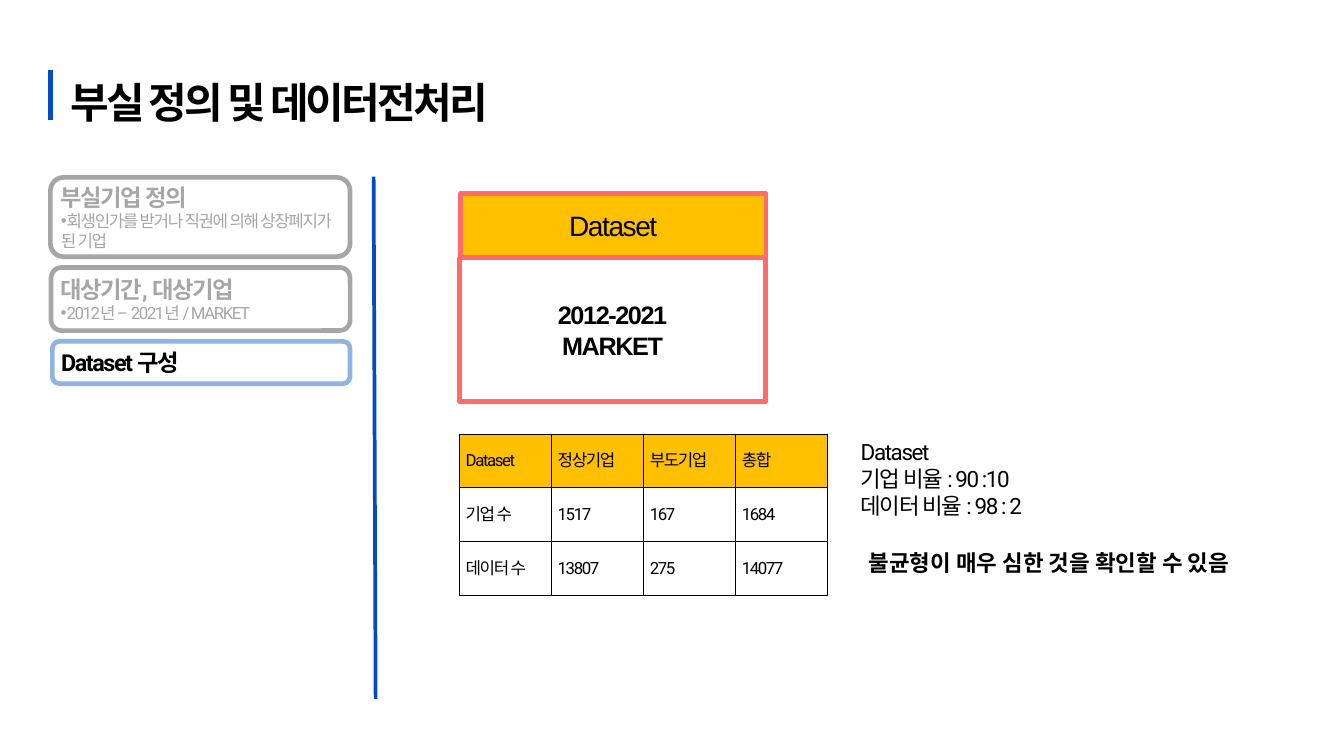
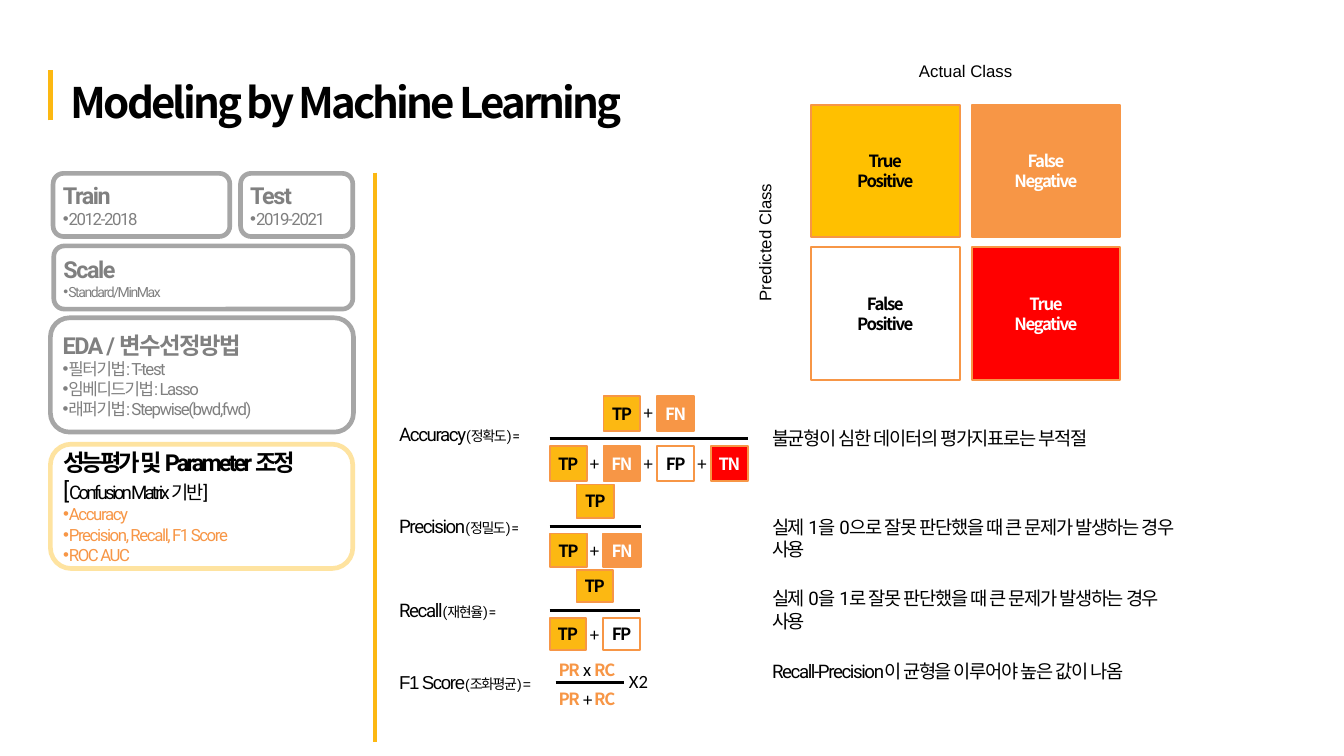
from lxml.etree import SubElement
from pptx import Presentation
from pptx.dml.color import RGBColor
from pptx.enum.shapes import MSO_CONNECTOR, MSO_SHAPE
from pptx.enum.text import MSO_ANCHOR, PP_ALIGN
from pptx.oxml.ns import qn
from pptx.util import Inches, Pt

COLORS = {
    "black": "000000", "white": "FFFFFF", "blue": "024BC7", "amber": "FCB812",
    "gold": "FFC000", "coral": "FF6B6B", "sky": "8EB4E3", "cream": "FEE3A0",
    "gray": "A6A6A6", "dark_gray": "808080", "orange": "F79646", "red": "FF0000",
}
NOTO = "Noto Sans CJK KR"


def style(size, font="Roboto", color="black", bold=False, spacing=-1.5):
    return {"size": size, "name": font, "color": color, "bold": bold, "spacing": spacing}


TITLE = style(45, NOTO, bold=True, spacing=-3)
BODY = style(20)
SMALL = style(15)
CELL = style(18)
NOTE = style(24)
AXIS = style(18, "Arial", spacing=0)
SIGN = style(20, "Calibri", spacing=0)
TERM = style(18, NOTO, "orange", True)

DATASET_CARDS = [
    ((0.75, 2.64, 4.46, 1.18), "gray", "부실기업 정의",
     ["회생인가를 받거나 직권에 의해 상장폐지가 된 기업"], "gray", 18),
    ((0.76, 3.98, 4.45, 0.94), "gray", "대상기간, 대상기업",
     ["2012년 – 2021년 / MARKET"], "gray", 18),
    ((0.78, 5.08, 4.43, 0.63), "sky", "Dataset 구성", [], "black", 18),
]
DATASET_ROWS = [
    ("Dataset", "정상기업", "부도기업", "총합"),
    ("기업 수", "1517", "167", "1684"),
    ("데이터 수", "13807", "275", "14077"),
]
RATIOS = ["Dataset", "기업 비율 : 90 :10", "데이터 비율 : 98 : 2"]

MODEL_CARDS = [
    ((0.79, 2.58, 2.63, 0.94), "gray", "Train", ["2012-2018"], "dark_gray", 18),
    ((3.58, 2.58, 1.67, 0.94), "gray", "Test", ["2019-2021"], "dark_gray", 18),
    ((0.8, 3.66, 4.45, 0.94), "gray", "Scale", ["Standard/MinMax"], "dark_gray", 15),
    ((0.75, 4.73, 4.51, 1.7), "gray", "EDA / 변수선정방법",
     ["필터기법: T-test", "임베디드기법: Lasso", "래퍼기법: Stepwise(bwd,fwd)"],
     "dark_gray", 18),
]
EVALUATION = ["Accuracy", "Precision, Recall, F1 Score", "ROC AUC"]
MATRIX = [
    [("True", "Positive", "gold", "black"), ("False", "Negative", "orange", "white")],
    [("False", "Positive", "white", "black"), ("True", "Negative", "red", "white")],
]
TILES = {"TP": ("amber", "black"), "FN": ("orange", "white"),
         "FP": ("white", "black"), "TN": ("red", "white")}
FRACTIONS = [
    (6.53, 0.55, 0.52, ["TP", "FN"], ["TP", "FN", "FP", "TN"]),
    (7.83, 0.56, 0.5, ["TP"], ["TP", "FN"]),
    (9.08, 0.54, 0.48, ["TP"], ["TP", "FP"]),
]
METRICS = [
    ("Accuracy", "(정확도) =", "Roboto", 6.25),
    ("Precision", "(정밀도) =", "Roboto", 7.61),
    ("Recall", "(재현율) =", "Roboto", 8.86),
    ("F1 Score", "(조화평균) =", "Arial", 9.94),
]
REMARKS = [
    (6.31, 0.44, "불균형이 심한 데이터의 평가지표로는 부적절"),
    (7.62, 0.77, "실제 1을 0으로 잘못 판단했을 때 큰 문제가 발생하는 경우 사용"),
    (8.69, 0.77, "실제 0을 1로 잘못 판단했을 때 큰 문제가 발생하는 경우 사용"),
    (9.77, 0.44, "Recall-Precision이 균형을 이루어야 높은 값이 나옴"),
]


def rgb(name):
    return RGBColor.from_string(COLORS[name])


def write(tf, paragraphs, align=PP_ALIGN.LEFT, bullets_from=None):
    tf.word_wrap = True
    for i, runs in enumerate(paragraphs):
        p = tf.paragraphs[0] if i == 0 else tf.add_paragraph()
        p.alignment = align
        if bullets_from is not None and i >= bullets_from:
            pPr = p._p.get_or_add_pPr()
            SubElement(pPr, qn("a:buFont"), typeface="Arial")
            SubElement(pPr, qn("a:buChar"), char="•")
        for text, look in runs:
            r = p.add_run()
            r.text = text
            for key in ("size", "name", "bold"):
                setattr(r.font, key, Pt(look[key]) if key == "size" else look[key])
            r.font.color.rgb = rgb(look["color"])
            rPr = r._r.get_or_add_rPr()
            rPr.set("spc", str(int(look["spacing"] * 100)))
            SubElement(rPr, qn("a:ea"), typeface=look["name"])


def lines(texts, look):
    return [[(text, look)] for text in texts]


def add_text(s, box, paragraphs, align=PP_ALIGN.LEFT, anchor=MSO_ANCHOR.TOP):
    sp = s.shapes.add_textbox(*map(Inches, box))
    sp.text_frame.vertical_anchor = anchor
    write(sp.text_frame, paragraphs, align)
    return sp


def add_box(s, box, fill, line, width, paragraphs, kind=MSO_SHAPE.RECTANGLE,
            align=PP_ALIGN.CENTER, bullets_from=None):
    sp = s.shapes.add_shape(kind, *map(Inches, box))
    sp.shadow.inherit = False
    sp.fill.solid()
    sp.fill.fore_color.rgb = rgb(fill)
    sp.line.color.rgb = rgb(line)
    sp.line.width = Pt(width)
    sp.text_frame.vertical_anchor = MSO_ANCHOR.MIDDLE
    write(sp.text_frame, paragraphs, align, bullets_from)


def add_line(s, ends, color, width):
    sp = s.shapes.add_connector(MSO_CONNECTOR.STRAIGHT, *map(Inches, ends))
    sp.line.color.rgb = rgb(color)
    sp.line.width = Pt(width)
    SubElement(sp._element.spPr, qn("a:effectLst"))


def add_card(s, box, line, paragraphs, bullets_from=1):
    add_box(s, box, "white", line, 5, paragraphs, MSO_SHAPE.ROUNDED_RECTANGLE,
            PP_ALIGN.LEFT, bullets_from)


def add_cards(s, cards):
    for box, line, heading, bullets, color, size in cards:
        add_card(s, box, line, lines([heading], style(25, color=color, bold=True))
                 + lines(bullets, style(size, color=color)))


def new_slide(prs, title, accent, divider):
    s = prs.slides.add_slide(prs.slide_layouts[6])
    add_line(s, (0.75, 1.79, 0.75, 1.04), accent, 5)
    sp = add_text(s, (1.05, 0.85, 8.92, 0.95), lines([title], TITLE))
    tf = sp.text_frame
    for side in ("left", "top", "right", "bottom"):
        setattr(tf, f"margin_{side}", 0)
    tf.paragraphs[0].line_spacing = Pt(74.8)
    add_line(s, divider, accent, 4)
    return s


def add_border(cell):
    tcPr = cell._tc.get_or_add_tcPr()
    for i, side in enumerate(("lnL", "lnR", "lnT", "lnB")):
        ln = tcPr.makeelement(qn(f"a:{side}"), {"w": str(Pt(1))})
        SubElement(SubElement(ln, qn("a:solidFill")), qn("a:srgbClr"), val=COLORS["black"])
        tcPr.insert(i, ln)


def add_dataset_table(s):
    table = s.shapes.add_table(3, 4, *map(Inches, (6.83, 6.46, 5.48, 2.4))).table
    for col in table.columns:
        col.width = Inches(1.37)
    for i, values in enumerate(DATASET_ROWS):
        table.rows[i].height = Inches(0.8)
        for j, value in enumerate(values):
            cell = table.cell(i, j)
            cell.vertical_anchor = MSO_ANCHOR.MIDDLE
            cell.fill.solid()
            cell.fill.fore_color.rgb = rgb("white" if i else "gold")
            add_border(cell)
            write(cell.text_frame, lines([value], CELL))


def add_sign(s, x, y, sign, width=0.27):
    add_text(s, (x, y, width, 0.44), lines([sign], SIGN))


def add_tiles(s, left, top, w, h, names):
    for i, name in enumerate(names):
        x = left + i * 0.8
        fill, color = TILES[name]
        add_box(s, (x, top, w, h), fill, "orange", 2,
                lines([name], style(18, NOTO, color, True)))
        if i:
            add_sign(s, x - 0.3, top + 0.03, "+")


def add_fraction(s, bar, w, h, top_names, bottom_names, left=8.18):
    extra = len(bottom_names) - len(top_names)
    add_tiles(s, left + extra * 0.4, bar - 0.12 - h, w, h, top_names)
    add_tiles(s, left, bar + 0.11, w, h, bottom_names)
    add_line(s, (left, bar, left + (len(bottom_names) - 1) * 0.8 + w, bar), "black", 3)


def add_f1_fraction(s):
    for top, sign in ((9.72, "x"), (10.16, "+")):
        for x, name in ((8.2, "PR"), (8.73, "RC")):
            add_text(s, (x, top, 0.54, 0.48), lines([name], TERM),
                     PP_ALIGN.CENTER, MSO_ANCHOR.MIDDLE)
        add_sign(s, 8.58, top + 0.02, sign)
    add_line(s, (8.27, 10.16, 9.28, 10.16), "black", 3)
    add_sign(s, 9.26, 9.92, "X2", 0.55)


def add_matrix(s):
    for i, row in enumerate(MATRIX):
        for j, (first, second, fill, color) in enumerate(row):
            add_box(s, (12.07 + j * 2.39, 1.56 + i * 2.12, 2.21, 1.97), fill, "orange", 2,
                    lines([first, second], style(18, NOTO, color, True)))
    add_text(s, (12.07, 0.86, 4.6, 0.55), lines(["Actual Class"], AXIS), PP_ALIGN.CENTER)
    sp = add_text(s, (11.18, 1.57, 0.69, 4.08), lines(["Predicted Class"], AXIS),
                  PP_ALIGN.CENTER)
    sp.text_frame._txBody.bodyPr.set("vert", "vert270")


def build_dataset(prs):
    s = new_slide(prs, "부실 정의 및 데이터전처리", "blue", (5.56, 2.63, 5.59, 10.4))
    add_cards(s, DATASET_CARDS)
    add_box(s, (6.85, 2.88, 4.55, 0.95), "gold", "coral", 5,
            lines(["Dataset"], style(30, "Arial")))
    add_box(s, (6.84, 3.84, 4.55, 2.14), "white", "coral", 5,
            lines(["2012-2021", "MARKET"], style(27, "Arial", bold=True)))
    add_dataset_table(s)
    add_text(s, (12.71, 6.47, 3.89, 1.31), lines(RATIOS, NOTE))
    add_text(s, (12.83, 8.12, 7, 0.5), lines(["불균형이 매우 심한 것을 확인할 수 있음"],
                                             style(24, NOTO, bold=True, spacing=0)))


def build_modeling(prs):
    s = new_slide(prs, "Modeling by Machine Learning", "amber", (5.58, 2.57, 5.58, 11.04))
    add_cards(s, MODEL_CARDS)
    basis = [("[", style(25, spacing=-3)), ("Confusion Matrix 기반]", style(20, spacing=-3))]
    add_card(s, (0.75, 6.61, 4.5, 1.85), "cream",
             lines(["성능평가 및 Parameter 조정"], style(25, bold=True, spacing=-3))
             + [basis] + lines(EVALUATION, style(18, color="orange")), 2)
    add_matrix(s)
    for fraction in FRACTIONS:
        add_fraction(s, *fraction)
    add_f1_fraction(s)
    for name, korean, font, top in METRICS:
        add_text(s, (5.84, top, 2.25, 0.44),
                 [[(name, {**BODY, "name": font}), (korean, {**SMALL, "name": font})]])
    for top, height, remark in REMARKS:
        add_text(s, (11.39, top, 6.36, height), lines([remark], BODY))


def main():
    prs = Presentation()
    prs.slide_width, prs.slide_height = Inches(20), Inches(11.25)
    build_dataset(prs)
    build_modeling(prs)
    prs.save("out.pptx")


if __name__ == "__main__":
    main()
